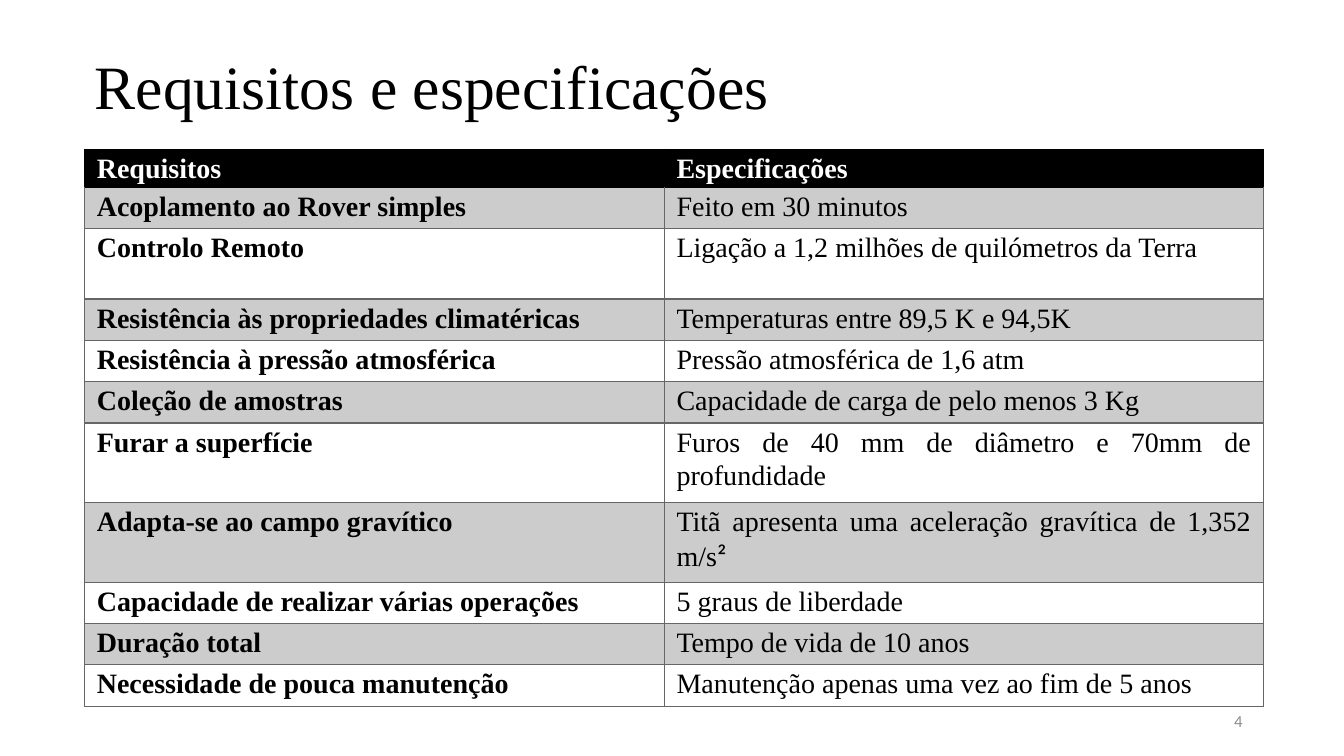
import dataclasses

import lxml.etree
import pptx
import pptx.dml.color
import pptx.enum.text
import pptx.oxml.ns
import pptx.util

ALIGN = pptx.enum.text.PP_ALIGN
ANCHOR = pptx.enum.text.MSO_ANCHOR


@dataclasses.dataclass(frozen=True)
class Theme:
    serif: str = "Times New Roman"
    sans: str = "Calibri"
    ink: str = "000000"
    paper: str = "FFFFFF"
    band: str = "CCCCCC"
    rule: str = "666666"
    muted: str = "8C8C8C"
    title: int = 44
    body: int = 20
    small: int = 12


THEME = Theme()
WIDTH, HEIGHT = pptx.util.Inches(13.33), pptx.util.Inches(7.5)

# Table grid, in inches
LEFT, TOP = 0.84, 1.48
COLUMNS = (5.75, 5.94)
HEADER_ROW, LINE_ROW, GAP_ROW, DOUBLE_ROW = 0.22, 0.41, 0.7, 0.79

HEADINGS = ("Requisitos", "Especificações")
REQUIREMENTS = [
    ("Acoplamento ao Rover simples", "Feito em 30 minutos", LINE_ROW),
    ("Controlo Remoto", "Ligação a 1,2 milhões de quilómetros da Terra", GAP_ROW),
    ("Resistência às propriedades climatéricas", "Temperaturas entre 89,5 K e 94,5K", LINE_ROW),
    ("Resistência à pressão atmosférica", "Pressão atmosférica de 1,6 atm", LINE_ROW),
    ("Coleção de amostras", "Capacidade de carga de pelo menos 3 Kg", LINE_ROW),
    ("Furar a superfície", "Furos de 40 mm de diâmetro e 70mm de profundidade", DOUBLE_ROW),
    ("Adapta-se ao campo gravítico",
     "Titã apresenta uma aceleração gravítica de 1,352 m/s²", DOUBLE_ROW),
    ("Capacidade de realizar várias operações", "5 graus de liberdade", LINE_ROW),
    ("Duração total", "Tempo de vida de 10 anos", LINE_ROW),
    ("Necessidade de pouca manutenção", "Manutenção apenas uma vez ao fim de 5 anos", LINE_ROW),
]


def rgb(color):
    return pptx.dml.color.RGBColor.from_string(color)


def add_text(p, text, size=THEME.body, font=THEME.serif, color=THEME.ink, bold=False,
             align=ALIGN.LEFT):
    """Add one formatted run to a paragraph."""
    p.alignment = align
    r = p.add_run()
    r.text = text
    r.font.size = pptx.util.Pt(size)
    r.font.name = font
    r.font.color.rgb = rgb(color)
    r.font.bold = bold


def place(sp, x, y, w, h):
    """Place a shape by shares of the slide's size."""
    sp.left, sp.top = int(WIDTH * x), int(HEIGHT * y)
    sp.width, sp.height = int(WIDTH * w), int(HEIGHT * h)


def add_borders(cell, colors):
    """Draw 1 pt borders; colors maps each side (L, R, T, B) to a colour."""
    tc_pr = cell._tc.get_or_add_tcPr()
    qn = pptx.oxml.ns.qn
    for side, color in colors.items():
        ln = lxml.etree.SubElement(tc_pr, qn("a:ln" + side), w=str(pptx.util.Pt(1)))
        fill = lxml.etree.SubElement(ln, qn("a:solidFill"))
        lxml.etree.SubElement(fill, qn("a:srgbClr"), val=color)


def fill_cell(cell, text, fill, borders, **fmt):
    cell.margin_left = cell.margin_right = pptx.util.Inches(0.12)
    cell.margin_top, cell.margin_bottom = pptx.util.Inches(0.02), 0
    cell.vertical_anchor = ANCHOR.TOP
    add_borders(cell, borders)
    if fill:
        cell.fill.solid()
        cell.fill.fore_color.rgb = rgb(fill)
    else:
        cell.fill.background()
    p = cell.text_frame.paragraphs[0]
    p.line_spacing = 1.07
    p.space_after = pptx.util.Pt(8)
    # The exponent is set in the sans font
    base, exponent, _ = text.partition("²")
    add_text(p, base, align=ALIGN.JUSTIFY, **fmt)
    if exponent:
        add_text(p, exponent, align=ALIGN.JUSTIFY, font=THEME.sans, **fmt)


def add_title(s, text):
    sp = s.shapes.title
    place(sp, 0.063, 0.057, 0.592, 0.112)
    tf = sp.text_frame
    tf.word_wrap = True
    tf.auto_size = pptx.enum.text.MSO_AUTO_SIZE.SHAPE_TO_FIT_TEXT
    tf.vertical_anchor = ANCHOR.TOP
    add_text(tf.paragraphs[0], text, size=THEME.title)


def add_requirements(s):
    heights = [HEADER_ROW] + [height for _, _, height in REQUIREMENTS]
    inches = pptx.util.Inches
    table = s.shapes.add_table(len(heights), len(COLUMNS), inches(LEFT), inches(TOP),
                               inches(sum(COLUMNS)), inches(sum(heights))).table
    table.first_row = table.horz_banding = False
    for column, width in zip(table.columns, COLUMNS):
        column.width = inches(width)
    for row, height in zip(table.rows, heights):
        row.height = inches(height)

    # Header row
    for cell, text in zip(table.rows[0].cells, HEADINGS):
        fill_cell(cell, text, THEME.ink, dict.fromkeys("LRTB", THEME.ink),
                  color=THEME.paper, bold=True)

    # Body rows, banded from the first one
    for i, (requirement, detail, _) in enumerate(REQUIREMENTS):
        borders = dict.fromkeys("LRTB", THEME.rule)
        if i == 0:
            borders["T"] = THEME.ink
        fill = THEME.band if i % 2 == 0 else None
        name_cell, detail_cell = table.rows[i + 1].cells
        fill_cell(name_cell, requirement, fill, borders, bold=True)
        fill_cell(detail_cell, detail, fill, borders)


def add_page_number(s, number):
    sp = s.shapes.add_textbox(0, 0, 0, 0)
    place(sp, 0.707, 0.927, 0.225, 0.053)
    tf = sp.text_frame
    tf.word_wrap = True
    tf.vertical_anchor = ANCHOR.MIDDLE
    add_text(tf.paragraphs[0], number, size=THEME.small, font=THEME.sans,
             color=THEME.muted, align=ALIGN.RIGHT)


def main():
    prs = pptx.Presentation()
    prs.slide_width, prs.slide_height = WIDTH, HEIGHT
    s = prs.slides.add_slide(prs.slide_layouts.get_by_name("Title Only"))
    add_requirements(s)
    add_title(s, "Requisitos e especificações")
    add_page_number(s, "4")
    prs.save("out.pptx")


if __name__ == "__main__":
    main()
